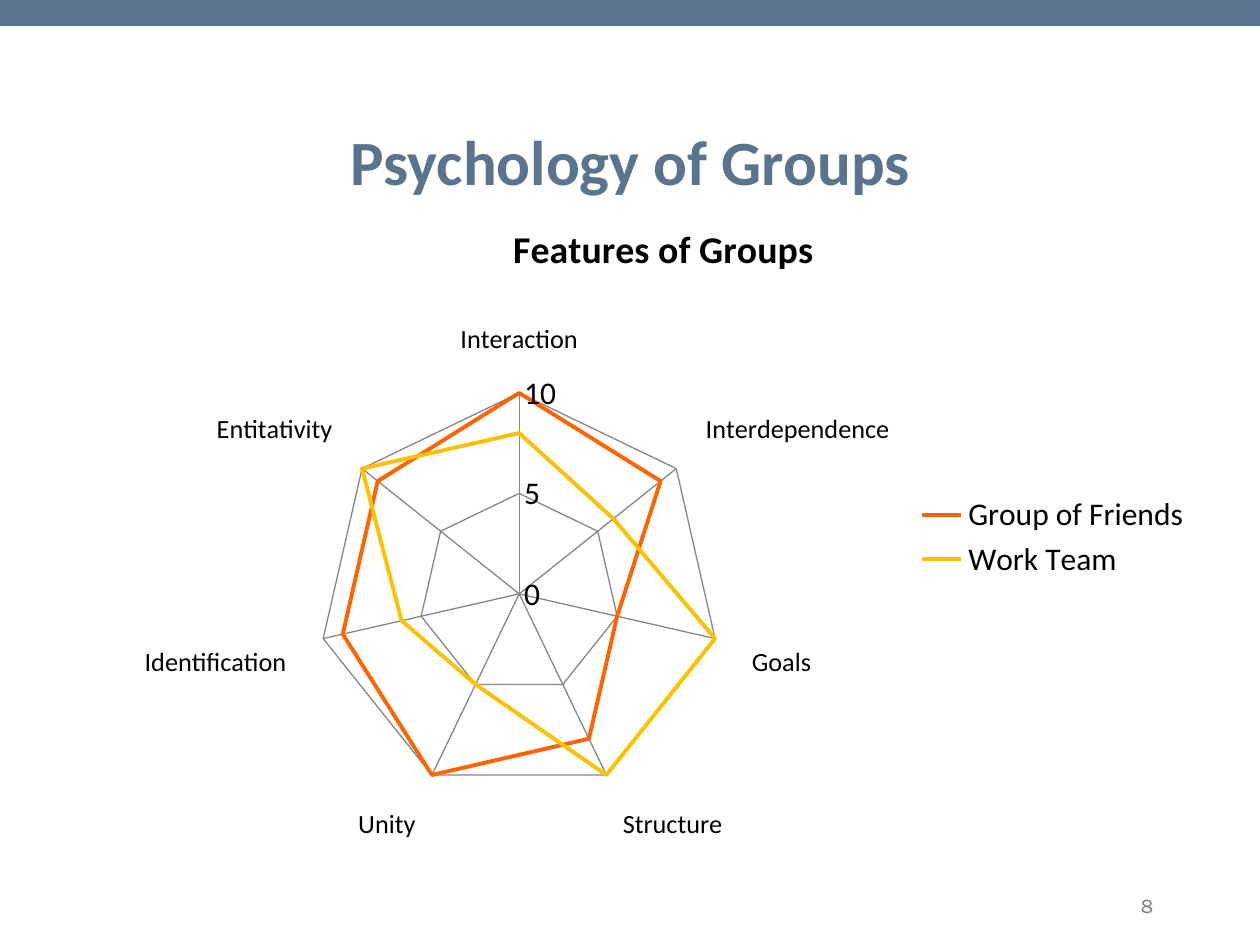
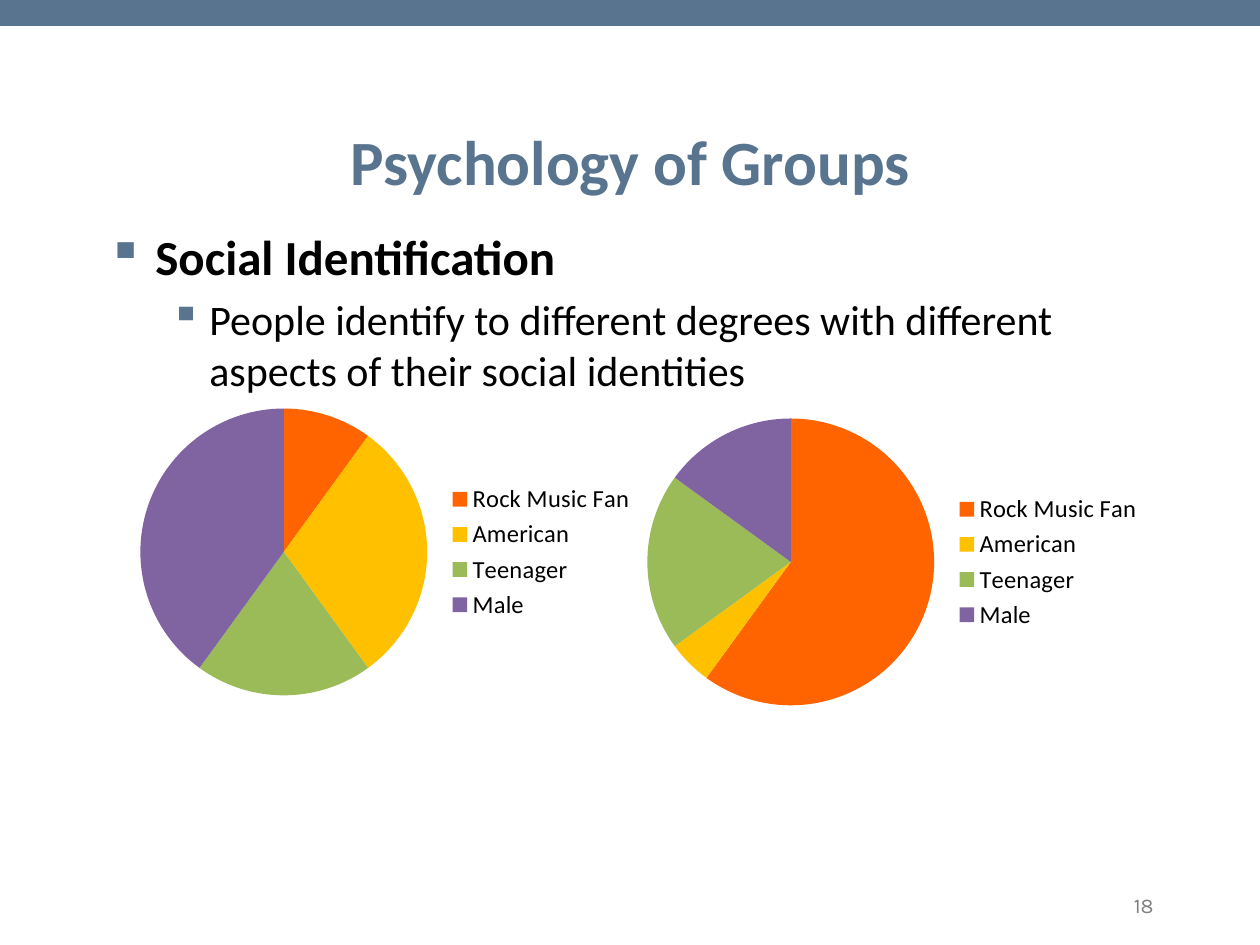
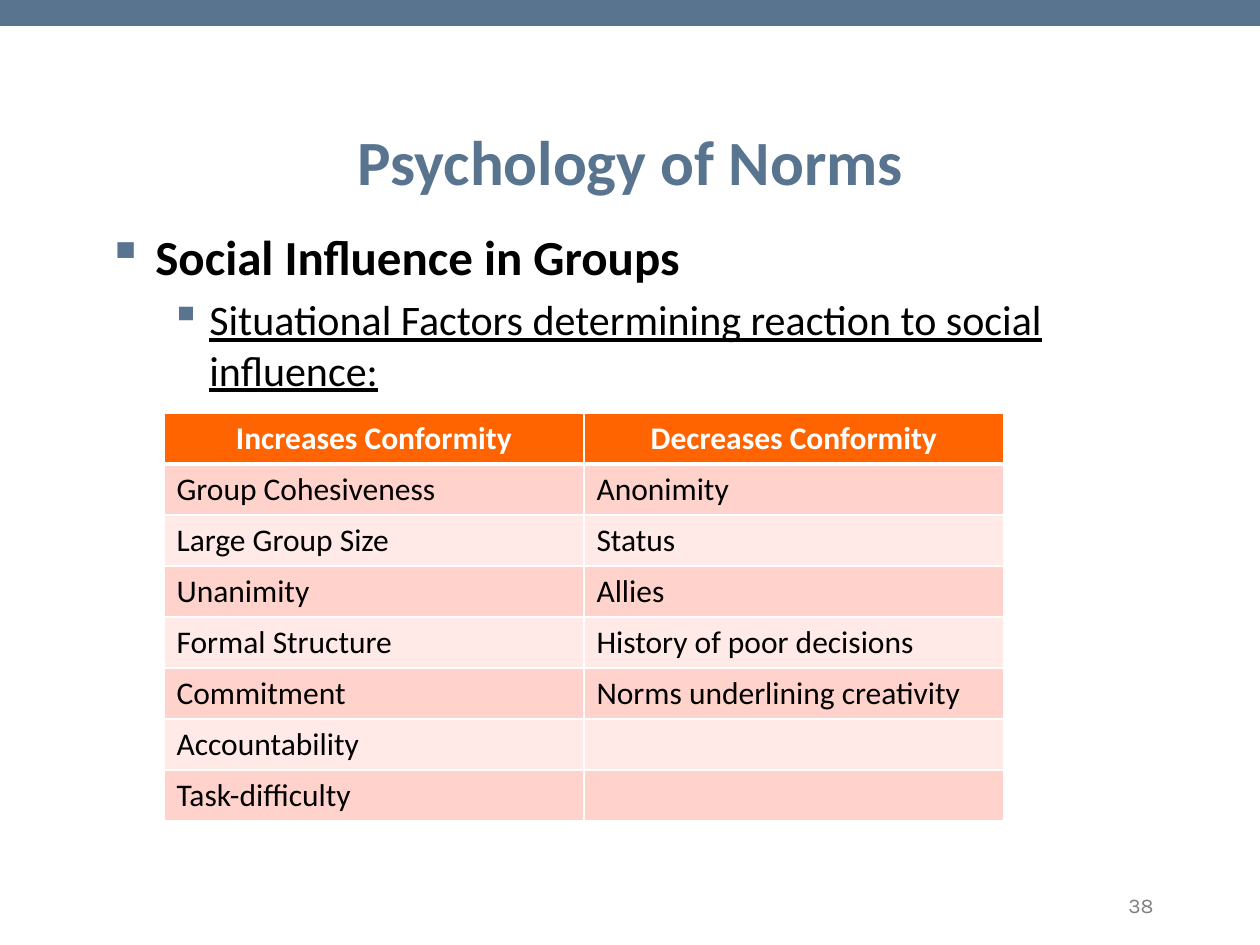
"""Build three slides on the psychology of groups and norms."""
from lxml import etree
from pptx import Presentation
from pptx import util as u
from pptx.chart.data import CategoryChartData
from pptx.dml.color import RGBColor
from pptx.enum import chart as ch, shapes, text
from pptx.oxml import ns

HEX = {"slate": "58748F", "black": "000000", "white": "FFFFFF",
       "gray": "808080", "grid": "868686", "orange": "FF6400",
       "gold": "FFC000", "green": "9BBB59", "purple": "8064A2",
       "rose": "FFD3CC", "blush": "FFEAE7"}
FACE = "Calibri"

GROUPS, NORMS = "Psychology of Groups", "Psychology of Norms"
TRAITS = ["Interaction", "Interdependence", "Goals", "Structure", "Unity",
          "Identification", "Entitativity"]
TEAMS = [("Group of Friends", (10, 9, 5, 8, 10, 9, 9), "orange"),
         ("Work Team", (8, 6, 10, 10, 5, 6, 10), "gold")]
SELVES = ["Rock Music Fan", "American", "Teenager", "Male"]
TINTS = ["orange", "gold", "green", "purple"]
PIES = [((123, 383), (10, 30, 20, 40)), ((630, 393), (60, 5, 20, 15))]
IDENTITY = ("Social Identification",
            "People identify to different degrees with different aspects "
            "of their social identities")
INFLUENCE = ("Social Influence in Groups",
             "Situational Factors determining reaction to social influence:")
FACTORS = [("Increases Conformity", "Decreases Conformity"),
           ("Group Cohesiveness", "Anonimity"),
           ("Large Group Size", "Status"),
           ("Unanimity", "Allies"),
           ("Formal Structure", "History of poor decisions"),
           ("Commitment", "Norms underlining creativity"),
           ("Accountability", ""),
           ("Task-difficulty", "")]


def px(*sizes):
    return [u.Emu(round(size * 914400 / 126)) for size in sizes]


def rgb(name):
    return RGBColor.from_string(HEX[name])


def style(font, size, color="black", bold=False, face=FACE):
    font.size, font.bold, font.name = u.Pt(size), bold, face
    font.color.rgb = rgb(color)


def add(root, tag, **attrs):
    return etree.SubElement(root, ns.qn(tag), attrs)


def start(prs, title, page):
    slide = prs.slides.add_slide(prs.slide_layouts[5])
    band = slide.shapes.add_shape(shapes.MSO_SHAPE.RECTANGLE,
                                  *px(0, 0, 1260, 26))
    band.shadow.inherit = False
    band.fill.solid()
    band.fill.fore_color.rgb = rgb("slate")
    band.line.fill.background()

    head = slide.shapes.title
    head.left, head.top, head.width, head.height = px(95, 125, 1071, 71)
    foot = slide.shapes.add_textbox(*px(898, 880, 268, 50))
    for box, words, align, look in (
            (head, title, text.PP_ALIGN.CENTER, (36, "slate", True)),
            (foot, page, text.PP_ALIGN.RIGHT, (12, "gray", False, "Karla"))):
        frame = box.text_frame
        frame.word_wrap = True
        frame.auto_size = text.MSO_AUTO_SIZE.NONE
        frame.vertical_anchor = text.MSO_ANCHOR.MIDDLE
        para = frame.paragraphs[0]
        para.text, para.alignment = words, align
        style(para.font, *look)
    return slide


def add_points(slide, lines, under=False):
    frame = slide.shapes.add_textbox(*px(95, 220, 1071, 160)).text_frame
    frame.word_wrap = True
    looks = [(48, -48, 28, True), (102, -39, 24, False)]
    for level, (line, look) in enumerate(zip(lines, looks)):
        left, hang, size, bold = look
        para = frame.add_paragraph() if level else frame.paragraphs[0]
        para.text, para.level = line, level
        props = para._p.get_or_add_pPr()
        for key, value in zip(("marL", "indent"), px(left, hang)):
            props.set(key, str(value))
        add(add(props, "a:buClr"), "a:srgbClr", val=HEX["slate"])
        add(props, "a:buChar", char="▪")
        style(para.font, size, bold=bold)
        if level:
            para.space_before = u.Pt(5)
            para.font.underline = under


def add_chart(slide, kind, box, names, rows, key):
    data = CategoryChartData()
    data.categories = names
    for name, values in rows:
        data.add_series(name, values)
    chart = slide.shapes.add_chart(kind, *px(*box), data).chart
    style(chart.font, 18)
    chart.has_title = False
    chart.has_legend = True
    chart.legend.position = ch.XL_LEGEND_POSITION.RIGHT
    chart.legend.include_in_layout = False
    style(chart.legend.font, key)
    return chart


def add_radar(slide):
    chart = add_chart(slide, ch.XL_CHART_TYPE.RADAR, (123, 195, 1081, 684),
                      TRAITS, [team[:2] for team in TEAMS], 18)
    chart.has_title = True
    para = chart.chart_title.text_frame.paragraphs[0]
    para.text = "Features of Groups"
    style(para.font, 21.6, bold=True)
    for axis in (chart.category_axis, chart.value_axis):
        axis.has_major_gridlines = True
        axis.major_gridlines.format.line.color.rgb = rgb("grid")
        axis.major_tick_mark = axis.minor_tick_mark = ch.XL_TICK_MARK.NONE
    style(chart.category_axis.tick_labels.font, 15)
    chart.category_axis.format.line.fill.background()
    scale = chart.value_axis
    scale.format.line.color.rgb = rgb("grid")
    scale.minimum_scale, scale.maximum_scale, scale.major_unit = 0, 10, 5
    for series, team in zip(chart.plots[0].series, TEAMS):
        series.smooth = False
        series.format.line.width = u.Pt(2.25)
        series.format.line.color.rgb = rgb(team[2])


def add_pie(slide, spot, values):
    chart = add_chart(slide, ch.XL_CHART_TYPE.PIE, (*spot, 525, 338),
                      SELVES, [("Series 1", values)], 14)
    plot = chart.plots[0]
    plot.vary_by_categories = True
    for index, tint in enumerate(TINTS):
        fill = plot.series[0].points[index].format.fill
        fill.solid()
        fill.fore_color.rgb = rgb(tint)


def add_edges(cell, base):
    props = cell._tc.get_or_add_tcPr()
    for side in "LRTB":
        width = u.Pt(base if side == "B" else 1)
        edge = add(props, "a:ln" + side, w=str(width))
        add(add(edge, "a:solidFill"), "a:srgbClr", val=HEX["white"])


def add_grid(slide):
    wide, high = 420, 51
    count = len(FACTORS)
    table = slide.shapes.add_table(
        count, 2, *px(164, 413, 2 * wide, count * high)).table
    for r, row in enumerate(FACTORS):
        table.rows[r].height = px(high)[0]
        tint = ("rose" if r % 2 else "blush") if r else "orange"
        for c, words in enumerate(row):
            cell = table.cell(r, c)
            add_edges(cell, 1 if r else 3)
            cell.fill.solid()
            cell.fill.fore_color.rgb = rgb(tint)
            para = cell.text_frame.paragraphs[0]
            para.text = words
            para.alignment = (text.PP_ALIGN.LEFT if r
                              else text.PP_ALIGN.CENTER)
            style(para.font, 18, "black" if r else "white", not r)


def main():
    prs = Presentation()
    prs.slide_width, prs.slide_height = px(1260, 945)

    add_radar(start(prs, GROUPS, "8"))

    slide = start(prs, GROUPS, "18")
    add_points(slide, IDENTITY)
    for spot, values in PIES:
        add_pie(slide, spot, values)

    slide = start(prs, NORMS, "38")
    add_points(slide, INFLUENCE, under=True)
    add_grid(slide)
    prs.save("out.pptx")


if __name__ == "__main__":
    main()
